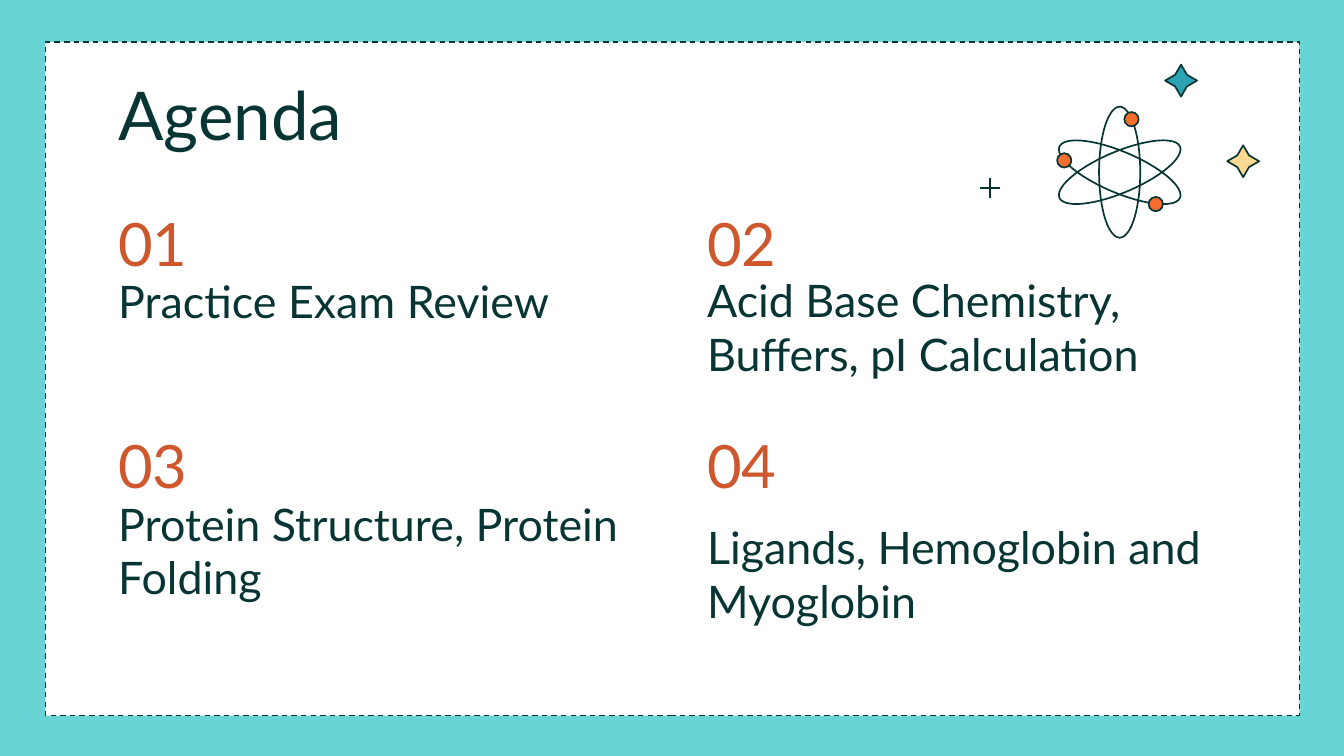
from dataclasses import dataclass

from lxml import etree
from pptx import Presentation
from pptx import util as u
from pptx.dml.color import RGBColor
from pptx.enum import dml, shapes, text
from pptx.oxml.ns import qn

EMU_PER_PX = 5715  # 160 px to the inch
SLIDE_W, SLIDE_H = 1600, 900
COLORS = {
    "backdrop": "68D4D6",
    "paper": "FFFFFF",
    "ink": "073533",
    "number": "CE572D",
    "electron": "F56E2E",
    "teal": "2BA3B4",
    "sand": "FFD992",
}
LEFT, RIGHT = 125, 826
UPPER, LOWER = 250, 514
NUMBER_W, NUMBER_H = 206, 78
TOPIC_W = 650
NUCLEUS = (1333, 205)
PLUS, PLUS_ARM = (1179, 224), 12


@dataclass(frozen=True)
class Topic:
    number: str
    label: str
    left: int
    top: int
    label_height: int


@dataclass(frozen=True)
class Mark:
    """A small outlined ornament, placed by its centre."""
    kind: shapes.MSO_SHAPE
    center: tuple[int, int]
    width: int
    height: int
    fill: str | None = None
    rotation: int = 0


TOPICS = [
    Topic("01", "Practice Exam Review", LEFT, UPPER, 59),
    Topic("02", "Acid Base Chemistry, Buffers, pI Calculation", RIGHT, UPPER, 122),
    Topic("03", "Protein Structure, Protein Folding", LEFT, LOWER, 126),
    Topic("04", "Ligands, Hemoglobin and Myoglobin", RIGHT, LOWER, 181),
]
ORBITS = [Mark(shapes.MSO_SHAPE.OVAL, NUCLEUS, 49, 156, rotation=turn)
          for turn in (0, 67, -67)]
ELECTRONS = [Mark(shapes.MSO_SHAPE.OVAL, center, 17, 17, "electron")
             for center in ((1347, 142), (1376, 243), (1267, 191))]
SPARKLES = [Mark(shapes.MSO_SHAPE.STAR_4_POINT, center, 38, 38, fill)
            for center, fill in (((1406, 96), "teal"), ((1480, 192), "sand"))]


def px(length: int) -> u.Emu:
    return u.Emu(length * EMU_PER_PX)


def rgb(name: str) -> RGBColor:
    return RGBColor.from_string(COLORS[name])


def place(shape, left: int, top: int, width: int, height: int) -> None:
    shape.left, shape.top = px(left), px(top)
    shape.width, shape.height = px(width), px(height)


def write(shape, wording: str, *, size: int, color: str = "ink") -> None:
    frame = shape.text_frame
    frame.word_wrap = True
    frame.auto_size = text.MSO_AUTO_SIZE.NONE
    frame.vertical_anchor = text.MSO_ANCHOR.MIDDLE
    frame.margin_left = frame.margin_right = u.Inches(0.1)
    frame.margin_top = frame.margin_bottom = u.Inches(0.1)
    paragraph = frame.paragraphs[0]
    paragraph.alignment = text.PP_ALIGN.LEFT
    run = paragraph.add_run()
    run.text = wording
    run.font.name = "Lato"
    run.font.size = u.Pt(size)
    run.font.color.rgb = rgb(color)


def outline(line, width: float) -> None:
    line.color.rgb = rgb("ink")
    line.width = u.Pt(width)


def draw_frame(slide) -> None:
    frame = slide.shapes.add_shape(
        shapes.MSO_SHAPE.RECTANGLE, px(54), px(50), px(1493), px(802))
    frame.shadow.inherit = False
    frame.fill.solid()
    frame.fill.fore_color.rgb = rgb("paper")
    outline(frame.line, 0.75)
    frame.line.dash_style = dml.MSO_LINE.DASH
    # The title placeholder already exists, so the frame goes beneath it.
    slide.shapes.title.element.addprevious(frame.element)


def draw_topic(slide, topic: Topic) -> None:
    number = slide.shapes.add_textbox(0, 0, 0, 0)
    place(number, topic.left, topic.top, NUMBER_W, NUMBER_H)
    write(number, topic.number, size=32, color="number")
    label = slide.shapes.add_textbox(0, 0, 0, 0)
    place(label, topic.left, topic.top + NUMBER_H, TOPIC_W, topic.label_height)
    write(label, topic.label, size=24)


def draw_mark(slide, mark: Mark) -> None:
    x, y = mark.center
    shape = slide.shapes.add_shape(
        mark.kind, px(x) - px(mark.width) // 2, px(y) - px(mark.height) // 2,
        px(mark.width), px(mark.height))
    shape.shadow.inherit = False
    shape.rotation = mark.rotation
    if mark.kind == shapes.MSO_SHAPE.STAR_4_POINT:
        shape.adjustments[0] = 0.26
    if mark.fill:
        shape.fill.solid()
        shape.fill.fore_color.rgb = rgb(mark.fill)
    else:
        shape.fill.background()
    outline(shape.line, 0.9)


def draw_plus(slide) -> None:
    x, y = PLUS
    for dx, dy in ((PLUS_ARM, 0), (0, PLUS_ARM)):
        stroke = slide.shapes.add_connector(
            shapes.MSO_CONNECTOR.STRAIGHT,
            px(x - dx), px(y - dy), px(x + dx), px(y + dy))
        outline(stroke.line, 1.25)
        etree.SubElement(stroke.element.spPr, qn("a:effectLst"))


def main() -> None:
    deck = Presentation()
    deck.slide_width, deck.slide_height = px(SLIDE_W), px(SLIDE_H)
    slide = deck.slides.add_slide(deck.slide_layouts[5])
    slide.background.fill.solid()
    slide.background.fill.fore_color.rgb = rgb("backdrop")

    draw_frame(slide)
    place(slide.shapes.title, LEFT, 94, 1350, 83)
    write(slide.shapes.title, "Agenda", size=36)
    for topic in TOPICS:
        draw_topic(slide, topic)
    for mark in ORBITS + ELECTRONS + SPARKLES:
        draw_mark(slide, mark)
    draw_plus(slide)
    deck.save("out.pptx")


if __name__ == "__main__":
    main()
